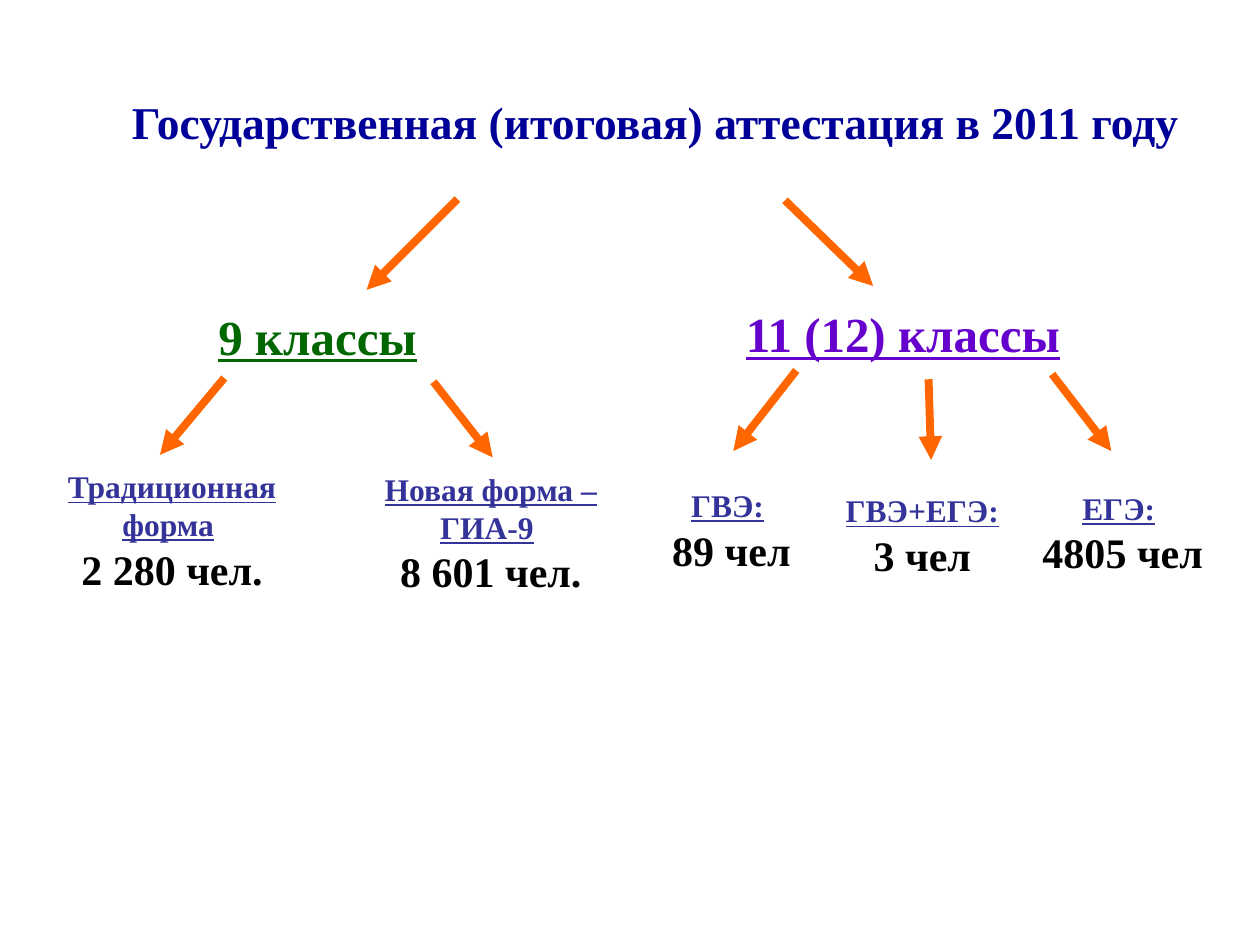
"""Builds the slide on state final attestation in 2011."""
from dataclasses import dataclass

from lxml.etree import SubElement
from pptx import Presentation
from pptx.dml.color import RGBColor
from pptx.enum.shapes import MSO_CONNECTOR
from pptx.enum.text import MSO_ANCHOR, MSO_AUTO_SIZE, PP_ALIGN
from pptx.oxml.ns import qn
from pptx.shapes.autoshape import Shape
from pptx.slide import Slide
from pptx.text.text import TextFrame, _Paragraph
from pptx.util import Emu, Pt

EMU_PER_PX = 9144
FONT = "Times New Roman"
NAVY, GREEN, VIOLET = "000099", "006600", "6600CC"
INDIGO, BLACK, ORANGE = "333399", "000000", "FF6600"


@dataclass(frozen=True)
class Area:
    left: int
    top: int
    width: int
    height: int


@dataclass(frozen=True)
class Heading:
    text: str
    color: str
    area: Area


@dataclass(frozen=True)
class ExamForm:
    name: str
    count: str
    area: Area


@dataclass(frozen=True)
class Arrow:
    start: tuple[int, int]
    end: tuple[int, int]


TITLE_AREA = Area(61, 69, 919, 54)
HEADINGS = [
    Heading("9 классы", GREEN, Area(39, 238, 426, 57)),
    Heading("11 (12) классы", VIOLET, Area(504, 236, 425, 57)),
]
EXAM_FORMS = [
    ExamForm("Традиционная форма", "2 280 чел.", Area(17, 366, 239, 110)),
    ExamForm("Новая форма – ГИА-9", "8 601 чел.", Area(277, 368, 225, 110)),
    ExamForm("ГВЭ:", "89 чел", Area(520, 381, 121, 80)),
    ExamForm("ГВЭ+ЕГЭ:", "3 чел", Area(660, 385, 144, 80)),
    ExamForm("ЕГЭ:", "4805 чел", Area(814, 383, 154, 80)),
]
ARROWS = [
    Arrow((363, 158), (291, 230)),
    Arrow((623, 159), (693, 227)),
    Arrow((178, 300), (127, 361)),
    Arrow((344, 303), (391, 363)),
    Arrow((632, 294), (582, 358)),
    Arrow((737, 301), (739, 365)),
    Arrow((835, 297), (882, 358)),
]


def px(length: int) -> Emu:
    """Turn px into EMU."""
    return Emu(length * EMU_PER_PX)


def rgb(color: str) -> RGBColor:
    """Turn a hex string into a colour."""
    return RGBColor.from_string(color)


def write(paragraph: _Paragraph, text: str, *, size: int, color: str,
          underline: bool = False) -> None:
    """Add a bold, centred span to a paragraph."""
    paragraph.alignment = PP_ALIGN.CENTER
    span = paragraph.add_run()
    span.text = text
    span.font.name = FONT
    span.font.size = Pt(size)
    span.font.bold = True
    span.font.underline = underline
    span.font.color.rgb = rgb(color)


def prepare(box: Shape, area: Area) -> TextFrame:
    """Place a text shape and set up its frame."""
    box.left, box.top = px(area.left), px(area.top)
    box.width, box.height = px(area.width), px(area.height)
    frame = box.text_frame
    frame.word_wrap = True
    frame.auto_size = MSO_AUTO_SIZE.SHAPE_TO_FIT_TEXT
    frame.vertical_anchor = MSO_ANCHOR.MIDDLE
    return frame


def add_frame(page: Slide, area: Area) -> TextFrame:
    """Add a text box and return its frame."""
    return prepare(page.shapes.add_textbox(0, 0, 0, 0), area)


def draw_heading(page: Slide, heading: Heading) -> None:
    """Draw the underlined name of a group of classes."""
    frame = add_frame(page, heading.area)
    write(frame.paragraphs[0], heading.text, size=28, color=heading.color, underline=True)


def draw_exam_form(page: Slide, form: ExamForm) -> None:
    """Draw the name of an exam form above its number of pupils."""
    frame = add_frame(page, form.area)
    name = frame.paragraphs[0]
    write(name, form.name, size=18, color=INDIGO, underline=True)
    write(name, " ", size=18, color=INDIGO)
    write(frame.add_paragraph(), form.count, size=24, color=BLACK)


def draw_arrow(page: Slide, arrow: Arrow) -> None:
    """Draw a thick arrow without shadow."""
    ends = [px(value) for value in (*arrow.start, *arrow.end)]
    connector = page.shapes.add_connector(MSO_CONNECTOR.STRAIGHT, *ends)
    connector.line.color.rgb = rgb(ORANGE)
    connector.line.width = Pt(4.5)
    properties = connector._element.spPr
    SubElement(properties.find(qn("a:ln")), qn("a:tailEnd"), type="triangle")
    SubElement(properties, qn("a:effectLst"))


def main() -> None:
    """Build and save the deck."""
    deck = Presentation()
    deck.slide_width, deck.slide_height = px(1000), px(750)
    page = deck.slides.add_slide(deck.slide_layouts[5])
    title = prepare(page.shapes.title, TITLE_AREA)
    write(title.paragraphs[0], "Государственная (итоговая) аттестация в 2011 году",
          size=26, color=NAVY)
    for heading in HEADINGS:
        draw_heading(page, heading)
    for form in EXAM_FORMS:
        draw_exam_form(page, form)
    for arrow in ARROWS:
        draw_arrow(page, arrow)
    deck.save("out.pptx")


if __name__ == "__main__":
    main()
